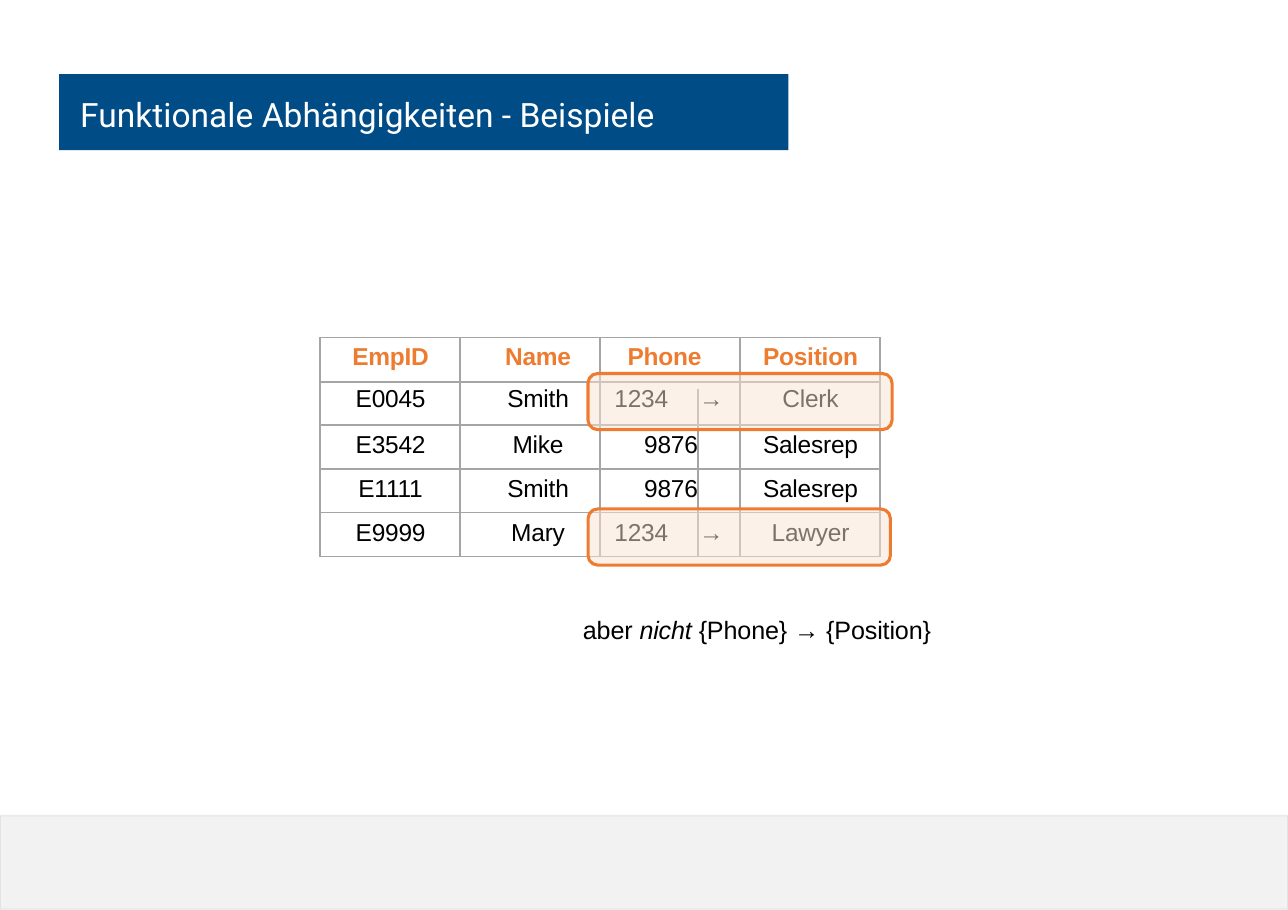
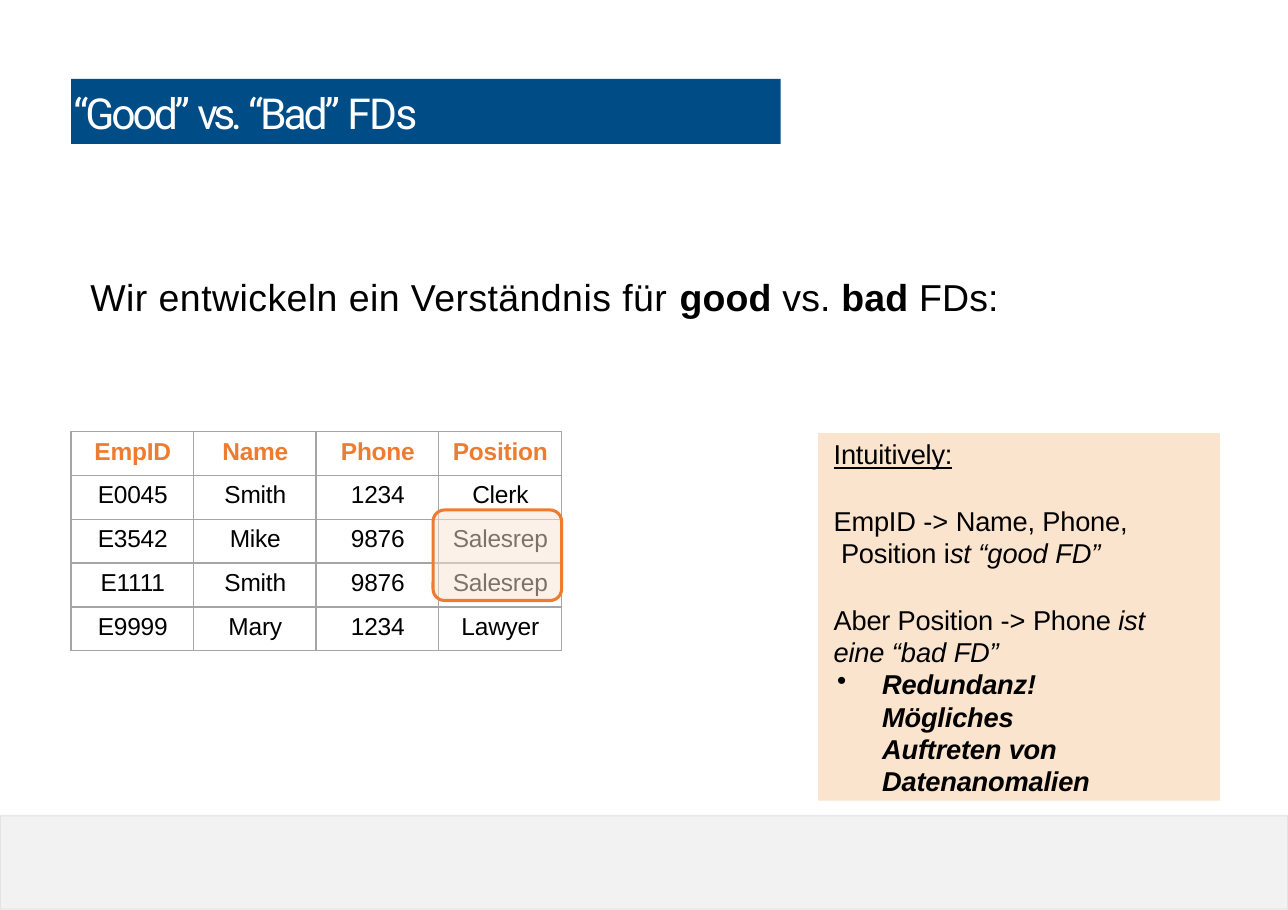
from dataclasses import dataclass
from typing import Sequence

from lxml import etree
from pptx import Presentation
from pptx.dml.color import RGBColor
from pptx.enum import shapes, text
from pptx.oxml import ns
from pptx.util import Pt

WHITE = RGBColor(0xFF, 0xFF, 0xFF)
BLACK = RGBColor(0, 0, 0)
BLUE = RGBColor(0x00, 0x4C, 0x87)
ORANGE = RGBColor(0xED, 0x7C, 0x31)
PALE_ORANGE = RGBColor(0xFB, 0xE4, 0xD4)
PANEL_ORANGE = RGBColor(0xFB, 0xE4, 0xCD)
GRID = RGBColor(0xA5, 0xA5, 0xA5)
BAND = RGBColor(0xF2, 0xF2, 0xF2)
BAND_LINE = RGBColor(0x88, 0x91, 0x94)

WIDTH, HEIGHT = 841.68, 594.72
ROW = 28.66
NO_GRID_STYLE = "{2D5ABB26-0587-4C30-8999-92F81FD0307C}"
LEFT = text.PP_ALIGN.LEFT
CENTER = text.PP_ALIGN.CENTER
RIGHT = text.PP_ALIGN.RIGHT

HEADINGS = ("EmpID", "Name", "Phone", "Position")
EMPLOYEES = (
    ("E0045", "Smith", "1234", "Clerk"),
    ("E3542", "Mike", "9876", "Salesrep"),
    ("E1111", "Smith", "9876", "Salesrep"),
    ("E9999", "Mary", "1234", "Lawyer"),
)


@dataclass(frozen=True)
class Box:
    left: float
    top: float
    width: float
    height: float

    def lengths(self) -> tuple:
        return Pt(self.left), Pt(self.top), Pt(self.width), Pt(self.height)


@dataclass(frozen=True)
class Style:
    font: str
    size: float
    color: RGBColor


@dataclass(frozen=True)
class Run:
    text: str
    spacing: float = -0.1
    bold: bool = False
    italic: bool = False
    underline: bool = False


@dataclass(frozen=True)
class Cell:
    text: str
    align: int = CENTER
    left: float = 0.7
    top: float = 4.3
    sides: str = "LRTB"
    line: float | None = None


HEAD = Style("Arial", 16, ORANGE)
BODY = Style("Arial", 16, BLACK)
NOTE = Style("Arial", 16.4, BLACK)
PANEL = Style("Arial", 17.8, BLACK)
LEAD = Style("Arial", 24.5, BLACK)


def add_runs(p, runs: Sequence[Run], style: Style) -> None:
    for run in runs:
        for i, piece in enumerate(run.text.split("\n")):
            if i:
                p.add_line_break()
            if not piece:
                continue
            r = p.add_run()
            r.text = piece
            r.font.name = style.font
            r.font.size = Pt(style.size)
            r.font.color.rgb = style.color
            r.font.bold = run.bold
            r.font.italic = run.italic
            r.font.underline = run.underline
            r._r.get_or_add_rPr().set("spc", str(round(run.spacing * 100)))


def frame(tf, left: float, top: float, right: float = 0, bottom: float = 0) -> None:
    tf.word_wrap = True
    tf.auto_size = text.MSO_AUTO_SIZE.NONE
    tf.margin_left, tf.margin_top = Pt(left), Pt(top)
    tf.margin_right, tf.margin_bottom = Pt(right), Pt(bottom)


def set_alpha(sp, query: str, percent: int) -> None:
    color = sp._element.spPr.xpath(query)[0]
    etree.SubElement(color, ns.qn("a:alpha")).set("val", str(percent * 1000))


def add_box(s, box: Box, fill: RGBColor, line: RGBColor | None = None,
            weight: float = 1, kind=shapes.MSO_SHAPE.RECTANGLE):
    sp = s.shapes.add_shape(kind, *box.lengths())
    sp.shadow.inherit = False
    sp.fill.solid()
    sp.fill.fore_color.rgb = fill
    if line is None:
        sp.line.fill.background()
    else:
        sp.line.color.rgb = line
        sp.line.width = Pt(weight)
    return sp


def add_highlight(s, box: Box, radius: float) -> None:
    sp = add_box(s, box, PALE_ORANGE, ORANGE, 2, shapes.MSO_SHAPE.ROUNDED_RECTANGLE)
    sp.adjustments[0] = radius / min(box.width, box.height)
    set_alpha(sp, "./a:solidFill/a:srgbClr", 50)


def add_text(s, box: Box, runs: Sequence[Run], style: Style) -> None:
    tf = s.shapes.add_textbox(*box.lengths()).text_frame
    frame(tf, 1.5, 1.4)
    add_runs(tf.paragraphs[0], runs, style)


def add_slide(prs, box: Box, runs: Sequence[Run], size: float,
              margins: Sequence[float], line_spacing: float = 1.0):
    s = prs.slides.add_slide(prs.slide_layouts[5])
    band = add_box(s, Box(0, 533, WIDTH, 61.4), BAND, BAND_LINE)
    set_alpha(band, "./a:ln/a:solidFill/a:srgbClr", 15)
    title = s.shapes.title
    title.left, title.top, title.width, title.height = box.lengths()
    title.fill.solid()
    title.fill.fore_color.rgb = BLUE
    tf = title.text_frame
    frame(tf, *margins)
    tf.vertical_anchor = text.MSO_ANCHOR.MIDDLE
    p = tf.paragraphs[0]
    p.alignment = LEFT
    p.line_spacing = line_spacing
    add_runs(p, runs, Style("Roboto", size, WHITE))
    return s


def set_borders(cell, sides: str) -> None:
    tc_pr = cell._tc.get_or_add_tcPr()
    for side in "LRTB":
        ln = etree.SubElement(tc_pr, ns.qn(f"a:ln{side}"), w=str(Pt(1)))
        if side in sides:
            fill = etree.SubElement(ln, ns.qn("a:solidFill"))
            etree.SubElement(fill, ns.qn("a:srgbClr"), val=str(GRID))
        else:
            etree.SubElement(ln, ns.qn("a:noFill"))


def add_grid(s, left: float, top: float, widths: Sequence[float],
             heights: Sequence[float], rows: Sequence[Sequence[Cell]]):
    box = Box(left, top, sum(widths), sum(heights))
    table = s.shapes.add_table(len(rows), len(widths), *box.lengths()).table
    table.first_row = table.horz_banding = False
    table._tbl.tblPr.find(ns.qn("a:tableStyleId")).text = NO_GRID_STYLE
    for column, width in zip(table.columns, widths):
        column.width = Pt(width)
    for i, (row, height) in enumerate(zip(rows, heights)):
        table.rows[i].height = Pt(height)
        for j, item in enumerate(row):
            cell = table.cell(i, j)
            cell.margin_left, cell.margin_top = Pt(item.left), Pt(item.top)
            cell.margin_right = cell.margin_bottom = Pt(0)
            set_borders(cell, item.sides)
            cell.fill.background()
            p = cell.text_frame.paragraphs[0]
            p.alignment = item.align
            if item.line:
                p.line_spacing = Pt(item.line)
            if item.text:
                add_runs(p, [Run(item.text, bold=i == 0)], BODY if i else HEAD)
            else:
                p.font.size = Pt(BODY.size)
    return table


def dependency_rows() -> list[list[Cell]]:
    head = dict(sides="LRT")
    emp_id, name, phone, position = HEADINGS
    rows = [[Cell(emp_id, **head), Cell(name, left=10.5, **head),
             Cell(phone, LEFT, 18, **head), Cell("", **head), Cell(position, **head)]]
    for i, (emp_id, name, phone, position) in enumerate(EMPLOYEES):
        look = dict(top=0, sides="LRB", line=15.4) if i == 0 else {}
        marked = phone == "1234"
        rows.append([
            Cell(emp_id, **look),
            Cell(name, left=10.5, **look),
            Cell(phone, LEFT if marked else RIGHT, 9.4 if marked else 0, **look),
            Cell("→" if marked else "", LEFT, **look),
            Cell(position, **look),
        ])
    return rows


def build_examples(prs) -> None:
    s = add_slide(prs, Box(38.7, 48.4, 476.5, 49.8),
                  [Run("Funktionale Abhängigkeiten - Beispiele", 0)],
                  21.9, (13.7, 13, 7.2, 7.2), 0.9)
    left, top, head = 209.2, 220.5, 33.84
    widths = (91.5, 91.5, 64, 27.5, 91.5)
    rule = s.shapes.add_connector(
        shapes.MSO_CONNECTOR.STRAIGHT, Pt(left), Pt(249.5),
        Pt(left + sum(widths)), Pt(249.5))
    rule.line.color.rgb = GRID
    rule.line.width = Pt(1)
    etree.SubElement(rule._element.spPr, ns.qn("a:effectLst"))
    table = add_grid(s, left, top, widths, (head, 2 * ROW - head, ROW, ROW, ROW),
                     dependency_rows())
    table.cell(0, 2).merge(table.cell(0, 3))
    add_text(s, Box(379.4, 400.3, 245.5, 20.9),
             [Run("aber "), Run("nicht ", italic=True), Run("{Phone} "),
              Run("→ ", 0), Run("{Position}")], NOTE)
    for highlight in (Box(384.3, 244.1, 198.7, 36.7), Box(384.3, 332.6, 197.6, 36.7)):
        add_highlight(s, highlight, 6.3)


def add_panel(s) -> None:
    sp = add_box(s, Box(534.7, 283, 262.6, 240.2), PANEL_ORANGE)
    tf = sp.text_frame
    frame(tf, 0, 2.9)
    tf.vertical_anchor = text.MSO_ANCHOR.TOP
    good = [Run("EmpID "), Run("-> ", 0), Run("Name, Phone,\n Position "),
            Run("i", 0.1), Run("st ", italic=True), Run("“good ", 0, italic=True),
            Run("FD”", italic=True)]
    bad = [Run("Aber Position "), Run("-> ", 0), Run("Phone "),
           Run("ist\neine ", italic=True), Run("“bad ", 0, italic=True),
           Run("FD”", italic=True)]
    risk = [Run("Redundanz!\nMögliches\nAuftreten von\nDatenanomalien",
                bold=True, italic=True)]
    paragraphs = (([Run("Intuitively:", underline=True)], 0),
                  (good, 22.5), (bad, 22.5), (risk, 0))
    for i, (runs, before) in enumerate(paragraphs):
        p = tf.add_paragraph() if i else tf.paragraphs[0]
        p.alignment = LEFT
        p_pr = p._p.get_or_add_pPr()
        bulleted = runs is risk
        p_pr.set("marL", str(Pt(41.8 if bulleted else 10.1)))
        p_pr.set("indent", str(Pt(-29.5 if bulleted else 0)))
        if bulleted:
            etree.SubElement(p_pr, ns.qn("a:buChar"), char="•")
        if i:
            p.line_spacing = Pt(21.1)
            p.space_before = Pt(before)
        add_runs(p, runs, PANEL)


def build_good_bad(prs) -> None:
    s = add_slide(prs, Box(46.5, 51.6, 463.7, 42.5),
                  [Run("“Good” ", -2), Run("vs. ", -3), Run("“Bad” ", -2),
                   Run("FDs", -1.1)],
                  27.9, (1.5, 1.4, 0, 0))
    rows = [[Cell(value) for value in row] for row in (HEADINGS, *EMPLOYEES)]
    add_grid(s, 46.4, 282, [80.1] * 4, [ROW] * 5, rows)
    add_panel(s)
    add_highlight(s, Box(283, 333.3, 84, 59.2), 7.5)
    add_text(s, Box(57.6, 177.8, 602, 31.7),
             [Run("Wir entwickeln ein Verständnis für ", 0.3),
              Run("good ", 0.1, bold=True), Run("vs. ", 0.1),
              Run("bad ", 0.1, bold=True), Run("FDs:", 0.1)], LEAD)


def main() -> None:
    prs = Presentation()
    prs.slide_width, prs.slide_height = Pt(WIDTH), Pt(HEIGHT)
    build_examples(prs)
    build_good_bad(prs)
    prs.save("out.pptx")


if __name__ == "__main__":
    main()
